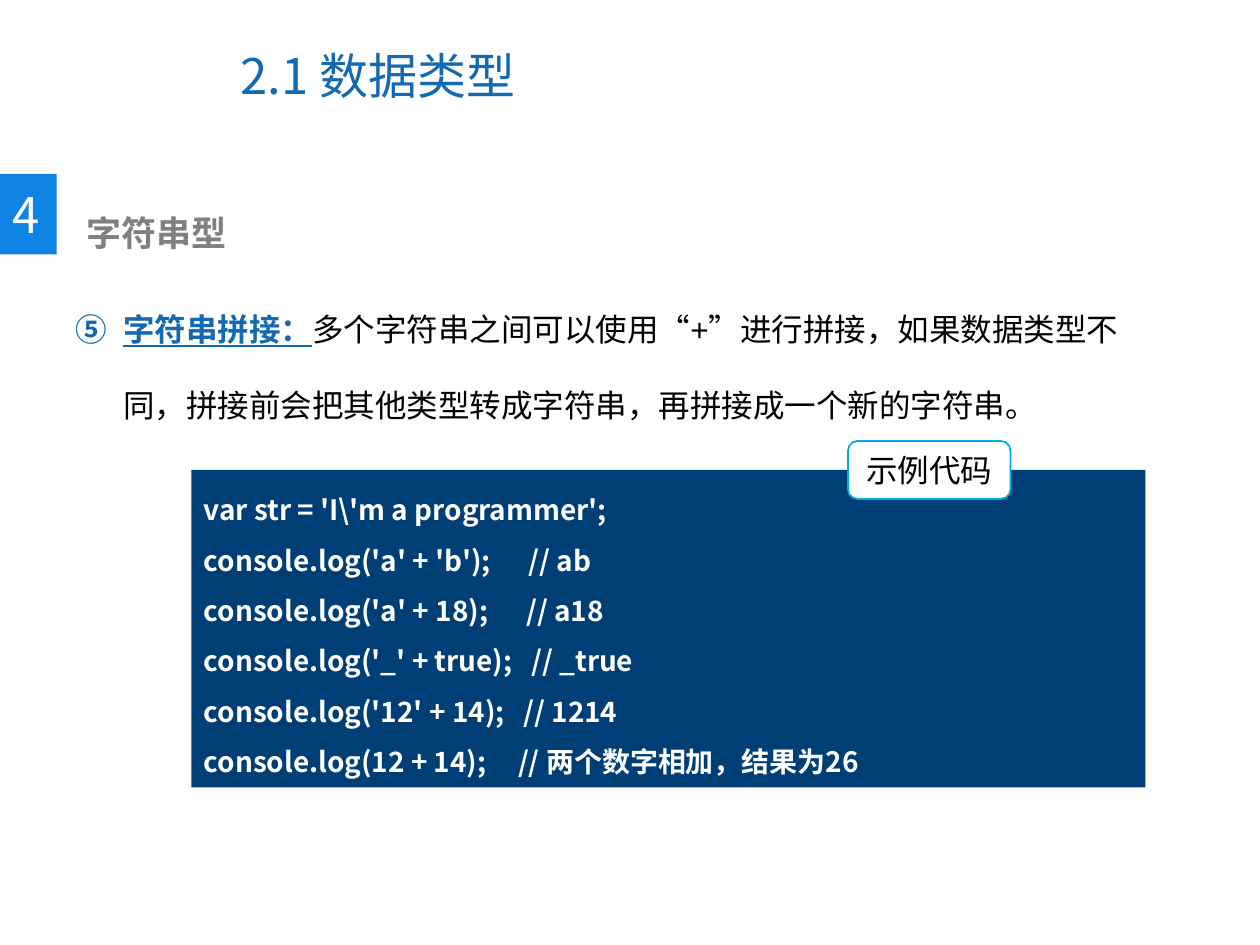
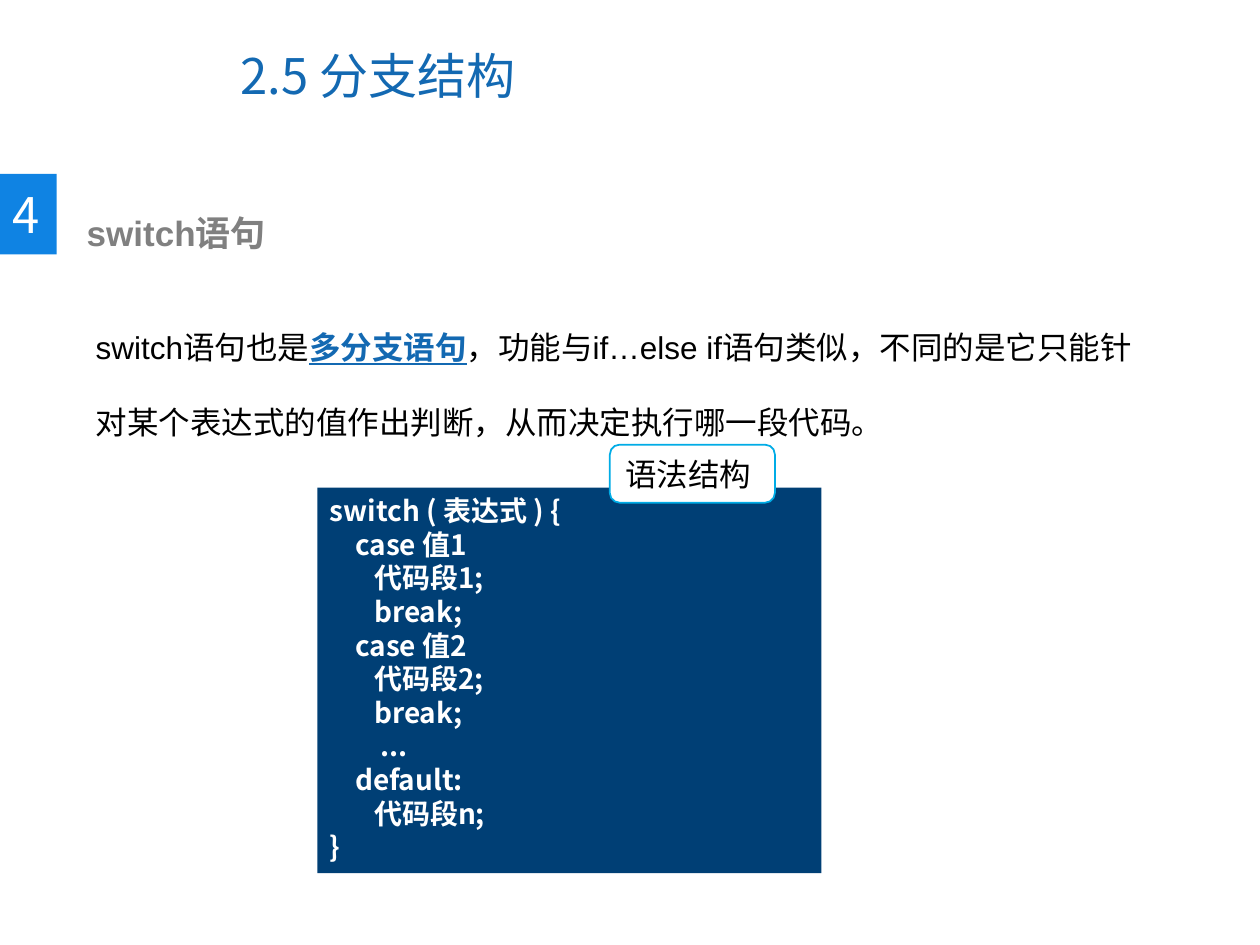
import collections

import lxml.etree
import pptx
import pptx.dml.color
import pptx.enum.lang
import pptx.enum.shapes
import pptx.enum.text
import pptx.oxml.ns
import pptx.util

Style = collections.namedtuple("Style", "size color font bold underline", defaults=("Arial", False, False))
Theme = collections.namedtuple("Theme", "badge code_panel label_fill label_line title number heading body key code")

CJK = "Noto Sans CJK SC"
THEME = Theme(
    badge="0F83E3",
    code_panel="003F75",
    label_fill="FFFFFF",
    label_line="00ACE6",
    title=Style(28, "1369B2", CJK),
    number=Style(28, "FFFFFF", CJK),
    heading=Style(20, "808080", bold=True),
    body=Style(18, "000000"),
    key=Style(18, "1369B2", bold=True, underline=True),
    code=Style(16, "FFFFFF", CJK, bold=True),
)

WIDTH, HEIGHT = pptx.util.Inches(10), pptx.util.Inches(7.5)
COLUMNS, ROWS = 100, 75
TITLE_AREA = (18.1, 1.7, 51.6, 8.5)
BADGE_AREA = (0, 13.8, 4.5, 6.4)
HEADING_AREA = (5.9, 16.3, 50, 4.4)
BODY_SIZE = (86.5, 13.1)
HANGING = pptx.util.Inches(0.38)

Align = pptx.enum.text.PP_ALIGN
Anchor = pptx.enum.text.MSO_ANCHOR
Preset = pptx.enum.shapes.MSO_SHAPE

SLIDES = [
    {
        "title": "2.1 数据类型",
        "number": "4",
        "heading": "字符串型",
        "body": [
            ("字符串拼接：", THEME.key),
            ("多个字符串之间可以使用“+”进行拼接，如果数据类型不同，拼接前会把其他类型转成字符串，再拼接成一个新的字符串。", THEME.body),
        ],
        "body_corner": (5, 21.1),
        "item_number": 5,
        "code": [
            "var str = 'I\\'m a programmer';",
            "console.log('a' + 'b');      // ab",
            "console.log('a' + 18);      // a18",
            "console.log('_' + true);   // _true",
            "console.log('12' + 14);   // 1214",
            "console.log(12 + 14);     // 两个数字相加，结果为26",
        ],
        "code_area": (15.2, 37.3, 75.7, 25.2),
        "code_spacing": 1.5,
        "label": "示例代码",
        "label_area": (67.3, 35, 12.9, 4.6),
        "label_align": Align.CENTER,
    },
    {
        "title": "2.5 分支结构",
        "number": "4",
        "heading": "switch语句",
        "body": [
            ("switch语句也是", THEME.body),
            ("多分支语句", THEME.key),
            ("，功能与if…else if语句类似，不同的是它只能针对某个表达式的值作出判断，从而决定执行哪一段代码。", THEME.body),
        ],
        "body_corner": (6.6, 22.5),
        "item_number": None,
        "code": [
            "switch ( 表达式 ) {",
            "    case 值1",
            "       代码段1;",
            "       break;",
            "    case 值2",
            "       代码段2;",
            "       break;",
            "        ...",
            "    default:",
            "       代码段n;",
            "}",
        ],
        "code_area": (25.2, 38.7, 40, 30.6),
        "code_spacing": 1,
        "label": "语法结构",
        "label_area": (48.4, 35.3, 13.1, 4.6),
        "label_align": Align.LEFT,
    },
]


def grid(area):
    """Turn columns and rows into slide lengths."""
    left, top, width, height = area
    return (
        round(WIDTH * left / COLUMNS),
        round(HEIGHT * top / ROWS),
        round(WIDTH * width / COLUMNS),
        round(HEIGHT * height / ROWS),
    )


def rgb(color):
    """Return a colour object for a hex string."""
    return pptx.dml.color.RGBColor.from_string(color)


def add_run(paragraph, text, style):
    """Add one styled run to a paragraph."""
    run = paragraph.add_run()
    run.text = text
    font = run.font
    font.size = pptx.util.Pt(style.size)
    font.bold = style.bold
    font.underline = style.underline
    font.color.rgb = rgb(style.color)
    font.name = style.font
    font.language_id = pptx.enum.lang.MSO_LANGUAGE_ID.SIMPLIFIED_CHINESE
    properties = run._r.get_or_add_rPr()
    lxml.etree.SubElement(properties, pptx.oxml.ns.qn("a:ea"), typeface=CJK)


def write(shape, lines, align=Align.LEFT, anchor=Anchor.TOP, spacing=1):
    """Write lines, each a list of text and style pairs, into a shape."""
    frame = shape.text_frame
    frame.word_wrap = True
    frame.auto_size = pptx.enum.text.MSO_AUTO_SIZE.NONE
    frame.vertical_anchor = anchor
    for index, line in enumerate(lines):
        paragraph = frame.add_paragraph() if index else frame.paragraphs[0]
        paragraph.alignment = align
        paragraph.line_spacing = spacing
        paragraph.space_before = pptx.util.Pt(0)
        for text, style in line:
            add_run(paragraph, text, style)


def set_marker(paragraph, item_number):
    """Give a paragraph a circled number, or no bullet."""
    properties = paragraph._p.get_or_add_pPr()
    indent = HANGING if item_number else 0
    properties.set("marL", str(indent))
    properties.set("indent", str(-indent))
    if item_number:
        lxml.etree.SubElement(
            properties, pptx.oxml.ns.qn("a:buAutoNum"), type="circleNumDbPlain", startAt=str(item_number)
        )
    else:
        lxml.etree.SubElement(properties, pptx.oxml.ns.qn("a:buNone"))


def place(shape, area):
    """Move a placeholder to its grid area."""
    shape.left, shape.top, shape.width, shape.height = grid(area)


def add_box(slide, preset, area, fill, line=None):
    """Add a flat filled shape."""
    shape = slide.shapes.add_shape(preset, *grid(area))
    shape.shadow.inherit = False
    shape.fill.solid()
    shape.fill.fore_color.rgb = rgb(fill)
    if line:
        shape.line.color.rgb = rgb(line)
        shape.line.width = pptx.util.Pt(1)
    else:
        shape.line.fill.background()
    return shape


def add_slide(presentation, content):
    """Build one lesson slide."""
    slide = presentation.slides.add_slide(presentation.slide_layouts[1])
    title, body = slide.placeholders
    place(title, TITLE_AREA)
    write(title, [[(content["title"], THEME.title)]], anchor=Anchor.MIDDLE)

    badge = add_box(slide, Preset.RECTANGLE, BADGE_AREA, THEME.badge)
    write(badge, [[(content["number"], THEME.number)]], anchor=Anchor.MIDDLE)

    heading = slide.shapes.add_textbox(*grid(HEADING_AREA))
    write(heading, [[(content["heading"], THEME.heading)]])

    place(body, content["body_corner"] + BODY_SIZE)
    set_marker(body.text_frame.paragraphs[0], content["item_number"])
    write(body, [content["body"]], spacing=2)

    panel = add_box(slide, Preset.RECTANGLE, content["code_area"], THEME.code_panel)
    write(panel, [[(line, THEME.code)] for line in content["code"]], spacing=content["code_spacing"])

    label = add_box(slide, Preset.ROUNDED_RECTANGLE, content["label_area"], THEME.label_fill, THEME.label_line)
    write(label, [[(content["label"], THEME.body)]], content["label_align"], Anchor.MIDDLE)


def main():
    """Build and save the slides."""
    presentation = pptx.Presentation()
    presentation.slide_width, presentation.slide_height = WIDTH, HEIGHT
    for content in SLIDES:
        add_slide(presentation, content)
    presentation.save("out.pptx")


if __name__ == "__main__":
    main()
